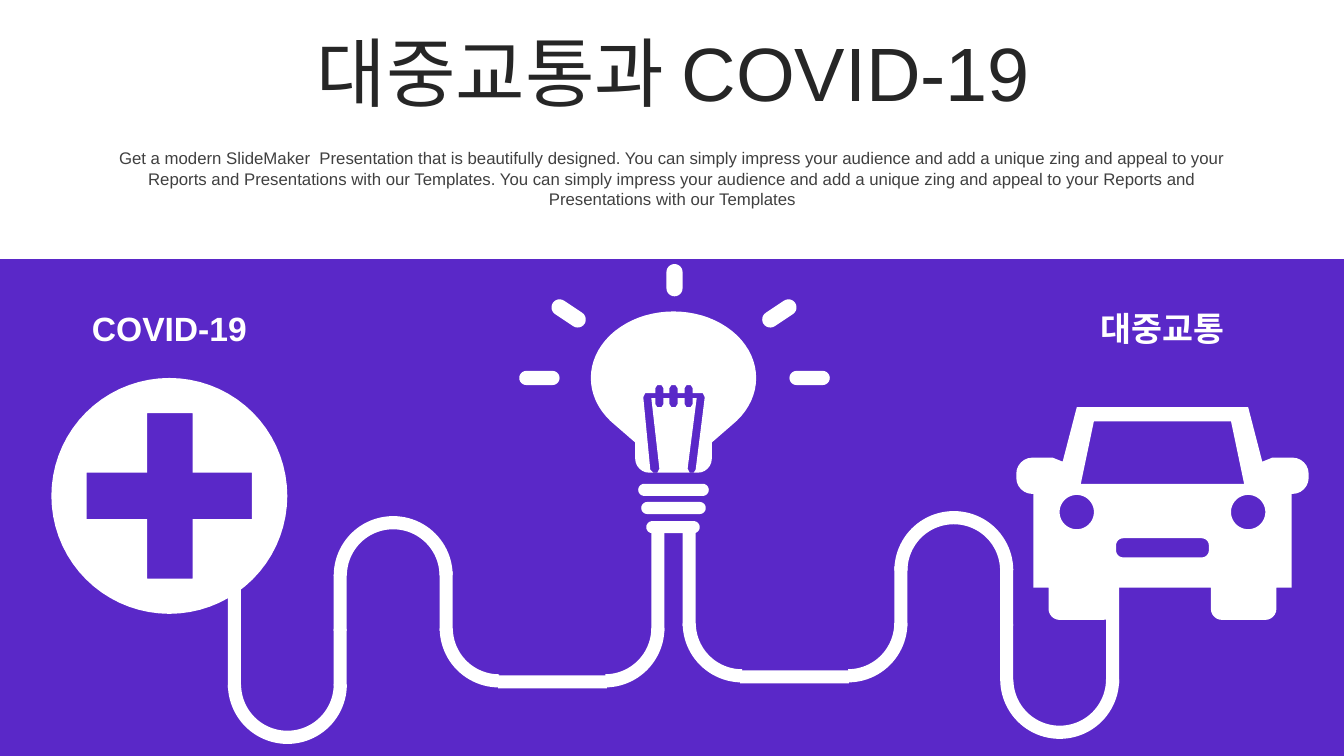
import math

from pptx import Presentation
from pptx.dml.color import RGBColor
from pptx.enum.shapes import MSO_SHAPE
from pptx.enum.text import MSO_ANCHOR, PP_ALIGN
from pptx.util import Emu, Pt

RECTANGLE = MSO_SHAPE.RECTANGLE
BLOCK_ARC = MSO_SHAPE.BLOCK_ARC
CENTER = PP_ALIGN.CENTER
TOP = MSO_ANCHOR.TOP
MIDDLE = MSO_ANCHOR.MIDDLE

EMU_PER_PX = 9144
PURPLE = "5A28C8"
WHITE = "FFFFFF"
CABLE = 13
BEND = 118
CABLE_MIRROR = 1336
HALF_TURN = 108
QUARTER_TURN = 162
ARC_END = 215.8


def px(value):
    return Emu(round(value * EMU_PER_PX))


def color(value):
    return RGBColor.from_string(value)


def paint(shape, fill):
    shape.shadow.inherit = False
    shape.fill.solid()
    shape.fill.fore_color.rgb = color(fill)
    shape.line.fill.background()


def add_preset(slide, kind, left, top, width, height, fill):
    shape = slide.shapes.add_shape(kind, px(left), px(top), px(width), px(height))
    paint(shape, fill)
    return shape


def add_text(slide, text, left, top, width, height, size, fill,
             bold=False, anchor=TOP, line_spacing=1.0):
    box = slide.shapes.add_textbox(px(left), px(top), px(width), px(height))
    frame = box.text_frame
    frame.word_wrap = True
    frame.vertical_anchor = anchor
    paragraph = frame.paragraphs[0]
    paragraph.text = text
    paragraph.alignment = CENTER
    paragraph.line_spacing = line_spacing
    paragraph.font.name = "Arial"
    paragraph.font.size = Pt(size)
    paragraph.font.bold = bold
    paragraph.font.color.rgb = color(fill)


def add_outline(slide, contours):
    scaled = [[(px(x), px(y)) for x, y in contour] for contour in contours]
    builder = slide.shapes.build_freeform(*scaled[0][0], scale=1.0)
    builder.add_line_segments(scaled[0][1:], close=True)
    for contour in scaled[1:]:
        builder.move_to(*contour[0])
        builder.add_line_segments(contour[1:], close=True)
    paint(builder.convert_to_shape(), WHITE)


def arc(center_x, center_y, radius_x, radius_y, start, end, step=5):
    angles = [math.radians(angle) for angle in range(start, end + 1, step)]
    return [(center_x + radius_x * math.cos(angle), center_y + radius_y * math.sin(angle))
            for angle in angles]


def circle(center_x, center_y, radius):
    return arc(center_x, center_y, radius, radius, 0, 355)


def capsule(start_x, start_y, end_x, end_y, radius):
    heading = round(math.degrees(math.atan2(end_y - start_y, end_x - start_x)))
    return (arc(end_x, end_y, radius, radius, heading - 90, heading + 90, 15)
            + arc(start_x, start_y, radius, radius, heading + 90, heading + 270, 15))


def toward(start, end, distance):
    share = distance / math.dist(start, end)
    return tuple(a + (b - a) * share for a, b in zip(start, end))


def rounded(corners):
    points = []
    for index, (x, y, radius) in enumerate(corners):
        if not radius:
            points.append((x, y))
            continue
        corner = (x, y)
        start = toward(corner, corners[index - 1][:2], radius)
        end = toward(corner, corners[(index + 1) % len(corners)][:2], radius)
        for step in range(7):
            t = step / 6
            near = (1 - t) ** 3 + 1.35 * t * (1 - t) ** 2
            far = t ** 3 + 1.35 * t ** 2 * (1 - t)
            points.append(tuple(near * a + far * b + (1 - near - far) * c
                                for a, b, c in zip(start, end, corner)))
    return points


def rounded_box(left, top, width, height, radius):
    right, bottom = left + width, top + height
    return rounded([(left, top, radius), (right, top, radius),
                    (right, bottom, radius), (left, bottom, radius)])


def add_cable(slide, mirrored, lift, plug_top, socket_top=525):
    def place(left, width):
        return CABLE_MIRROR - left - width if mirrored else left

    straights = [
        (226, plug_top, CABLE, 683 - lift - plug_top),
        (331, 624 - lift, CABLE, 56),
        (331, 570 - lift, CABLE, 56),
        (436, 567 - lift, CABLE, 59),
        (494, 670 - lift, 108, CABLE),
        (646, socket_top, CABLE, 626 - lift - socket_top),
    ]
    for left, top, width, height in straights:
        add_preset(slide, RECTANGLE, place(left, width), top, width, height, WHITE)
    bends = [
        (226, 620, HALF_TURN, 180),
        (331, 512, HALF_TURN, 0),
        (436, 564, QUARTER_TURN, 180),
        (541, 564, QUARTER_TURN, 90),
    ]
    for left, top, start, rotation in bends:
        bend = add_preset(slide, BLOCK_ARC, place(left, BEND), top - lift, BEND, BEND, WHITE)
        for index, value in enumerate((start, ARC_END, 0.111)):
            bend.adjustments[index] = value
        if mirrored and start == QUARTER_TURN:
            rotation = 270 - rotation
        bend.rotation = rotation


def add_car(slide):
    right_half = [
        (1238, 404, 0), (1252, 458, 0), (1262, 454, 0), (1298, 454, 16), (1298, 490, 16),
        (1281, 490, 0), (1281, 583, 0), (1266, 583, 0), (1266, 615, 11), (1201, 615, 11),
        (1201, 583, 0),
    ]
    left_half = [(2306 - x, y, radius) for x, y, radius in reversed(right_half)]
    windshield = [(1085, 418), (1072, 480), (1234, 480), (1221, 418)]
    add_outline(slide, [rounded(right_half + left_half), windshield,
                        circle(1068, 508, 17), circle(1238, 508, 17),
                        rounded_box(1107, 534, 92, 19, 7)])


def filament():
    posts = (654, 668, 683)
    upper = [(post + dx, y) for post in posts for dx, y in
             ((-4, 390), (-4, 385), (-2, 382), (2, 382), (4, 385), (4, 390))]
    lower = [(post + dx, y) for post in reversed(posts) for dx, y in
             ((4, 395), (4, 401), (2, 404), (-2, 404), (-4, 401), (-4, 395))]
    right_leg = [(697, 390), (699, 394), (690, 466), (688, 469), (684, 469), (682, 465), (691, 395)]
    left_leg = [(646, 395), (654, 465), (652, 469), (648, 469), (645, 466), (638, 394), (640, 390)]
    return upper + right_leg + lower + left_leg


def add_bulb(slide):
    glass = [(x, y, 0) for x, y in arc(668, 375, 82, 66, 135, 405)]
    neck = [(706, 439, 0), (706, 469, 14), (630, 469, 14), (630, 439, 0)]
    base = [rounded_box(left, top, width, 12, 6)
            for left, top, width in ((633, 480, 70), (636, 498, 64), (641, 517, 53))]
    rays = [capsule(*ray) for ray in (
        (522, 375, 548, 375, 7), (555, 305, 573, 317, 8), (669, 270, 669, 286, 8),
        (782, 305, 764, 317, 8), (790, 375, 816, 375, 7))]
    add_outline(slide, [rounded(glass + neck), filament(), *base, *rays])


def add_medical_sign(slide):
    cross = [(146, 410), (191, 410), (191, 469), (250, 469), (250, 515), (191, 515),
             (191, 574), (146, 574), (146, 515), (86, 515), (86, 469), (146, 469)]
    add_outline(slide, [circle(168, 492, 117), cross])


def main():
    presentation = Presentation()
    presentation.slide_width = px(1333)
    presentation.slide_height = px(750)
    slide = presentation.slides.add_slide(presentation.slide_layouts[6])
    pitch = "You can simply impress your audience and add a unique zing and appeal to your " \
            "Reports and Presentations with our Templates"
    add_text(slide, "대중교통과 COVID-19", 35, 37, 1266, 79, 54, "262626",
             anchor=MIDDLE, line_spacing=0.9)
    add_preset(slide, RECTANGLE, 0, 257, 1333, 493, PURPLE)
    add_text(slide, "Get a modern SlideMaker  Presentation that is beautifully designed. "
             f"{pitch}. {pitch}", 92, 142, 1150, 71, 12, "404040")
    add_text(slide, "COVID-19", 38, 301, 260, 44, 24, WHITE, bold=True)
    add_cable(slide, mirrored=True, lift=5, plug_top=560)
    add_cable(slide, mirrored=False, lift=0, plug_top=549)
    add_car(slide)
    add_bulb(slide)
    add_medical_sign(slide)
    add_text(slide, "대중교통", 1023, 301, 260, 44, 24, WHITE, bold=True)
    presentation.save("out.pptx")


if __name__ == "__main__":
    main()
